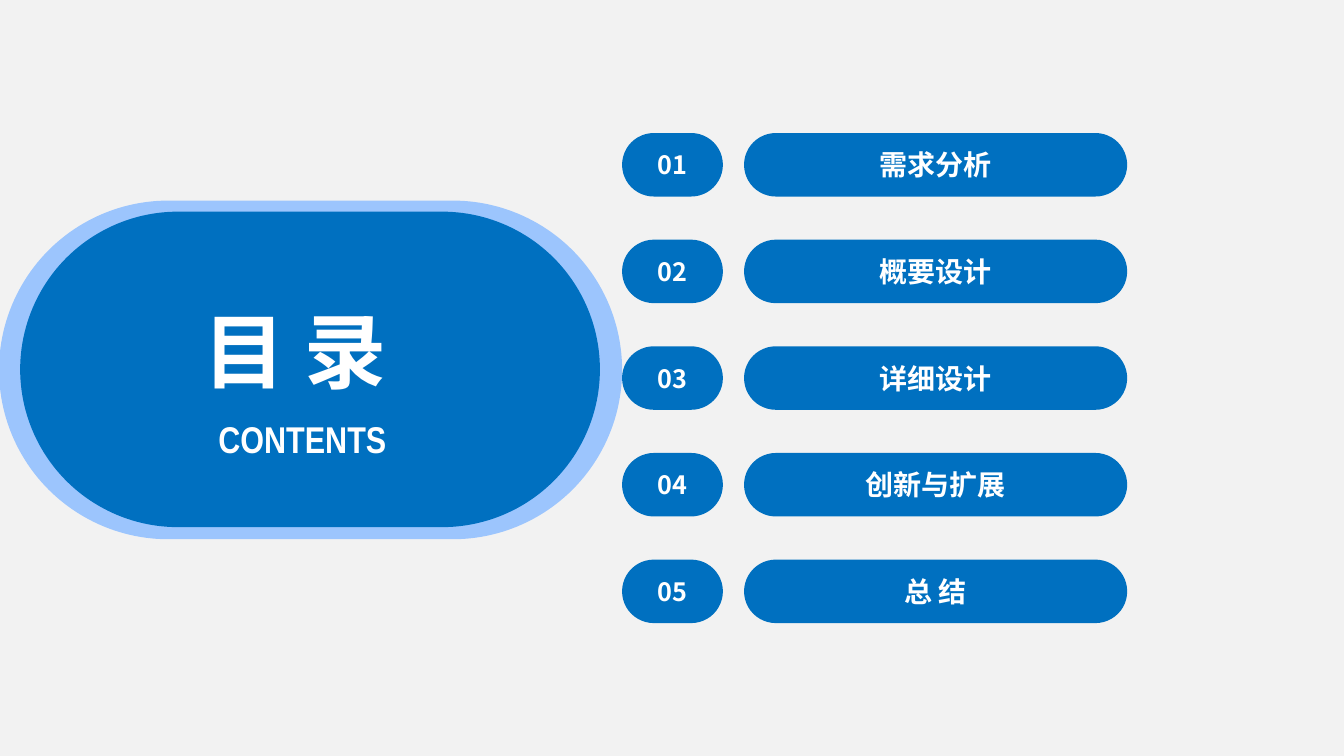
"""Build the contents slide: a title capsule and five numbered sections."""
from lxml import etree
from pptx import Presentation
from pptx import util as u
from pptx.dml import color
from pptx.enum import shapes, text
from pptx.oxml import ns


def rgb(value):
    return color.RGBColor.from_string(value)


def write(tf, content, size, font="Noto Sans CJK SC", fill="FFFFFF", bold=True):
    p = tf.paragraphs[0]
    p.alignment = text.PP_ALIGN.CENTER
    r = p.add_run()
    r.text = content
    r.font.size = u.Pt(size)
    r.font.bold = bold
    r.font.color.rgb = rgb(fill)
    r.font.name = font
    ea = etree.SubElement(r.font._element, ns.qn("a:ea"))
    ea.set("typeface", font)


class Deck:
    BACK, BLUE, PALE = "F2F2F2", "0070C0", "9CC5FD"

    def __init__(self):
        self.prs = Presentation()
        self.prs.slide_width = u.Inches(13.33)
        self.prs.slide_height = u.Inches(7.5)
        self.s = self.prs.slides.add_slide(self.prs.slide_layouts[6])
        fill = self.s.background.fill
        fill.solid()
        fill.fore_color.rgb = rgb(self.BACK)

    def capsule(self, x, y, w, h, fill=BLUE, label=None, size=18):
        sp = self.s.shapes.add_shape(
            shapes.MSO_SHAPE.ROUNDED_RECTANGLE, *map(u.Inches, (x, y, w, h)))
        sp.adjustments[0] = 0.5
        sp.shadow.inherit = False
        sp.fill.solid()
        sp.fill.fore_color.rgb = rgb(fill)
        sp.line.fill.background()
        if label:
            sp.text_frame.vertical_anchor = text.MSO_ANCHOR.MIDDLE
            write(sp.text_frame, label, size)

    def heading(self, x, y, w, h, content, size, **style):
        sp = self.s.shapes.add_textbox(*map(u.Inches, (x, y, w, h)))
        tf = sp.text_frame
        tf.word_wrap = False
        tf.auto_size = text.MSO_AUTO_SIZE.SHAPE_TO_FIT_TEXT
        write(tf, content, size, **style)


def main():
    deck = Deck()
    deck.capsule(-0.01, 1.99, 6.18, 3.36, fill=Deck.PALE)
    deck.capsule(0.2, 2.1, 5.75, 3.13)

    sections = ["需求分析", "概要设计", "详细设计", "创新与扩展", "总 结"]
    top, pitch, height = 1.32, 1.058, 0.63
    for i, section in enumerate(sections):
        y = top + i * pitch
        deck.capsule(6.17, y, 1, height, label=f"{i + 1:02}")
        deck.capsule(7.38, y, 3.8, height, label=section, size=20)

    deck.heading(1.87, 4.08, 2.26, 0.55, "CONTENTS", 26.6, font="Arial Narrow")
    deck.heading(1.88, 2.93, 2.09, 1.09, "目 录", 58.6)
    deck.prs.save("out.pptx")


if __name__ == "__main__":
    main()
